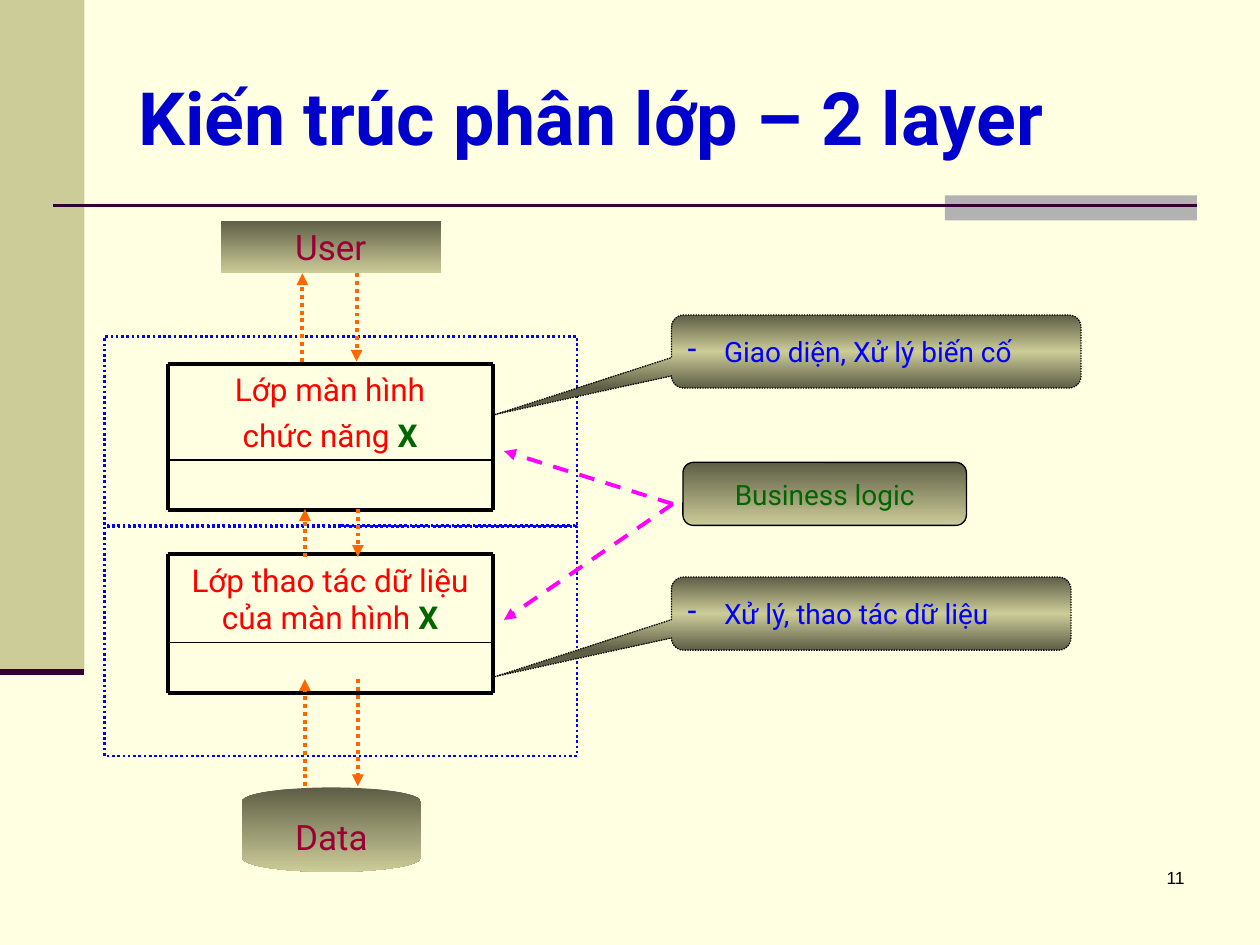
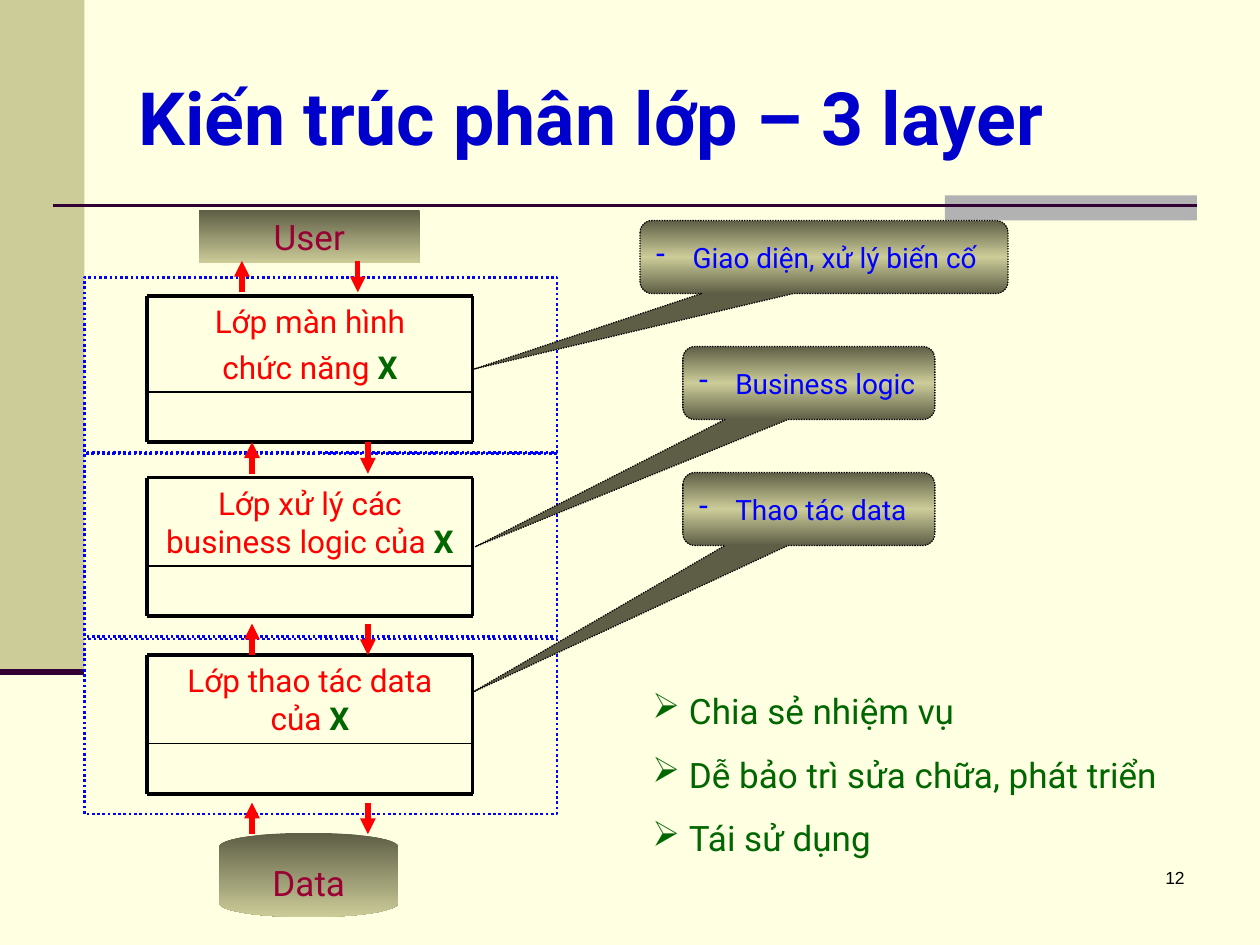
"""Build two slides on layered architecture: two layers and three layers."""
import copy

import pptx
import pptx.dml.color
import pptx.enum.dml
import pptx.enum.shapes
import pptx.enum.text
import pptx.oxml.ns
import pptx.oxml.xmlchemy
import pptx.util
from lxml import etree

RGB = pptx.dml.color.RGBColor
CREAM, KHAKI, OLIVE = RGB(255, 255, 225), RGB(204, 204, 153), RGB(94, 94, 70)
GREY, PLUM, BLACK = RGB(178, 178, 178), RGB(51, 0, 51), RGB(0, 0, 0)
NAVY, BLUE, GREEN = RGB(0, 0, 204), RGB(0, 0, 255), RGB(0, 102, 0)
WINE, RED, ORANGE, PINK = RGB(153, 0, 51), RGB(255, 0, 0), RGB(255, 102, 0), RGB(255, 0, 255)

SHAPE = pptx.enum.shapes.MSO_SHAPE
DASH = pptx.enum.dml.MSO_LINE
ALIGN = pptx.enum.text.PP_ALIGN
ANCHOR = pptx.enum.text.MSO_ANCHOR
qn = pptx.oxml.ns.qn

FONT = "Roboto"
WIDTH, HEIGHT = 10, 7.5
ZONE_W, BOX_INDENT, BOX_W, BOX_FOOT = 3.75, 0.5, 2.58, 0.4
CALLOUT_H, BULLET_INDENT = 0.58, 0.29

SLIDES = [
    {
        "title": "Kiến trúc phân lớp – 2 layer",
        "number": "11",
        "user": (1.75, 1.75),
        "data": (1.92, 6.25),
        "zone_left": 0.83,
        "zones": [(2.67, 1.5), (4.18, 1.82)],
        "boxes": [
            (2.89, 0.76, ["Lớp màn hình", "chức năng "]),
            (4.4, 0.7, ["Lớp thao tác dữ liệu của màn hình "]),
        ],
        "arrow_style": (ORANGE, 2.25, DASH.ROUND_DOT),
        "arrows": [(2.4, 2.83, 2.17, 2.87), (2.42, 2.84, 4.04, 4.42), (2.42, 2.84, 5.39, 6.24)],
        "callouts": [
            (5.33, 2.5, 3.25, (3.93, 3.29), "Giao diện, Xử lý biến cố"),
            (5.33, 4.58, 3.17, (3.93, 5.37), "Xử lý, thao tác dữ liệu"),
        ],
        "logic": ("Business logic", (5.42, 3.67, 2.25, 0.5), (5.34, 4), [(4, 3.58), (4, 4.92)]),
    },
    {
        "title": "Kiến trúc phân lớp – 3 layer",
        "number": "12",
        "user": (1.58, 1.67),
        "data": (1.74, 6.61),
        "zone_left": 0.67,
        "zones": [(2.2, 1.39), (3.6, 1.45), (5.07, 1.39)],
        "boxes": [
            (2.35, 0.76, ["Lớp màn hình", "chức năng "]),
            (3.79, 0.7, ["Lớp xử lý các business logic của "]),
            (5.2, 0.7, ["Lớp thao tác data của "]),
        ],
        "arrow_style": (RED, 3, None),
        "arrows": [(1.92, 2.84, 2.07, 2.32)]
        + [(2, 2.92, top, top + 0.25) for top in (3.51, 4.95, 6.37)],
        "callouts": [
            (5.08, 1.75, 2.92, (3.76, 2.93), "Giao diện, xử lý biến cố"),
            (5.42, 2.75, 2, (3.77, 4.34), "Business logic"),
            (5.42, 3.75, 2, (3.74, 5.5), "Thao tác data"),
        ],
        "benefits": ["Chia sẻ nhiệm vụ", "Dễ bảo trì sửa chữa, phát triển", "Tái sử dụng"],
    },
]


def inches(*values):
    return [pptx.util.Inches(v) for v in values]


def style_font(font, size, color, name=FONT, bold=False):
    font.size, font.name, font.bold = pptx.util.Pt(size), name, bold
    font.color.rgb = color


def style_line(line, color, width, dash=None):
    line.color.rgb = color
    line.width = pptx.util.Pt(width)
    if dash is not None:
        line.dash_style = dash


def write(sp, lines, size, color, align=ALIGN.LEFT, name=FONT, before=0, wrap=True):
    tf = sp.text_frame
    tf.word_wrap = wrap
    tf.text = "\n".join(lines)
    for p in tf.paragraphs:
        p.alignment = align
        p.space_before = pptx.util.Pt(before)
        for r in p.runs:
            style_font(r.font, size, color, name)
    return tf


def add_bullets(tf, char, color):
    for p in tf.paragraphs:
        pPr = p._p.get_or_add_pPr()
        indent = pptx.util.Inches(BULLET_INDENT)
        pPr.set("marL", str(indent))
        pPr.set("indent", str(-indent))
        clr = etree.SubElement(pPr, qn("a:buClr"))
        etree.SubElement(clr, qn("a:srgbClr")).set("val", str(color))
        etree.SubElement(pPr, qn("a:buChar")).set("char", char)


def add_shape(s, kind, area, fill=None, line=None):
    sp = s.shapes.add_shape(kind, *inches(*area))
    sp.shadow.inherit = False
    if fill is None:
        sp.fill.background()
    elif isinstance(fill, RGB):
        sp.fill.solid()
        sp.fill.fore_color.rgb = fill
    else:
        fill_gradient(sp, fill)
    if line:
        style_line(sp.line, *line)
    else:
        sp.line.fill.background()
    return sp


def fill_gradient(sp, colors):
    sp.fill.gradient()
    sp.fill.gradient_angle = 270
    stops = sp._element.spPr.find(".//" + qn("a:gsLst"))
    while len(stops) < len(colors):
        stops.append(copy.deepcopy(stops[0]))
    for i, (stop, color) in enumerate(zip(sp.fill.gradient_stops, colors)):
        stop.position = i / (len(colors) - 1)
        stop.color.rgb = color


def add_line(shapes, start, end, color, width, dash=None, arrow=False):
    straight = pptx.enum.shapes.MSO_CONNECTOR.STRAIGHT
    cxn = shapes.add_connector(straight, *inches(*start, *end))
    style_line(cxn.line, color, width, dash)
    if arrow:
        etree.SubElement(cxn.line._get_or_add_ln(), qn("a:tailEnd")).set("type", "triangle")
    etree.SubElement(cxn._element.spPr, qn("a:effectLst"))


def add_frame(s, title, number):
    add_shape(s, SHAPE.RECTANGLE, (0, 0, 0.67, 5.33), KHAKI)
    add_shape(s, SHAPE.RECTANGLE, (7.5, 1.55, 2, 0.2), GREY)
    add_line(s.shapes, (0.42, 1.63), (9.5, 1.63), PLUM, 1.5)
    add_line(s.shapes, (0, 5.33), (0.67, 5.33), PLUM, 3.5)
    sp = s.shapes.title
    sp.left, sp.top, sp.width, sp.height = inches(1, 0.3, 8.5, 1.25)
    tf = write(sp, [title], 42, NAVY)
    tf.vertical_anchor = ANCHOR.MIDDLE
    tf.auto_size = pptx.enum.text.MSO_AUTO_SIZE.NONE
    tf.paragraphs[0].runs[0].font.bold = True
    sp = s.shapes.add_textbox(*inches(7.42, 6.83, 2.08, 0.5))
    write(sp, [number], 10, BLACK, ALIGN.RIGHT, "Arial")


def add_node(s, kind, area, text, size, color, line=None):
    sp = add_shape(s, kind, area, (OLIVE, KHAKI), line)
    tf = write(sp, [text], size, color, ALIGN.CENTER, wrap=False)
    tf.vertical_anchor = ANCHOR.MIDDLE


def add_layer_box(s, left, top, head, lines):
    shapes = s.shapes.add_group_shape().shapes
    right, middle = left + BOX_W, top + head
    bottom = middle + BOX_FOOT
    sp = shapes.add_textbox(*inches(left, top, BOX_W, head))
    tf = write(sp, lines, 18, RED, ALIGN.CENTER, before=4.5)
    r = tf.paragraphs[-1].add_run()
    r.text = "X"
    style_font(r.font, 18, GREEN, bold=True)
    for y, width in ((top, 2.25), (middle, 1), (bottom, 2.25)):
        add_line(shapes, (left, y), (right, y), BLACK, width)
    for x in (left, right):
        add_line(shapes, (x, top), (x, bottom), BLACK, 2.25)


def add_callout(s, left, top, width, tip, text):
    sp = add_shape(s, SHAPE.ROUNDED_RECTANGULAR_CALLOUT, (left, top, width, CALLOUT_H),
                   (OLIVE, KHAKI, OLIVE), (BLACK, 0.75, DASH.ROUND_DOT))
    sp.adjustments[0] = (tip[0] - left) / width - 0.5
    sp.adjustments[1] = (tip[1] - top) / CALLOUT_H - 0.5
    tf = write(sp, [text], 16, BLUE)
    tf.vertical_anchor = ANCHOR.MIDDLE
    add_bullets(tf, "-", BLUE)


def add_logic(s, text, area, start, ends):
    add_node(s, SHAPE.ROUNDED_RECTANGLE, area, text, 16, GREEN, (BLACK, 0.75))
    for end in ends:
        add_line(s.shapes, start, end, PINK, 2.25, DASH.DASH, arrow=True)


def add_benefits(s, lines):
    sp = s.shapes.add_textbox(*inches(5.08, 5.42, 4.5, 1.45))
    add_bullets(write(sp, lines, 20, GREEN, before=12.5), "➢", GREEN)


def build_slide(prs, content):
    s = prs.slides.add_slide(prs.slide_layouts[5])
    add_frame(s, content["title"], content["number"])
    add_node(s, SHAPE.RECTANGLE, (*content["user"], 1.75, 0.42), "User", 20, WINE)
    add_node(s, SHAPE.FLOWCHART_MAGNETIC_DISK, (*content["data"], 1.42, 0.67), "Data", 20, WINE)
    left = content["zone_left"]
    for top, height in content["zones"]:
        add_shape(s, SHAPE.RECTANGLE, (left, top, ZONE_W, height),
                  line=(BLUE, 1.5, DASH.ROUND_DOT))
    for box in content["boxes"]:
        add_layer_box(s, left + BOX_INDENT, *box)
    for callout in content["callouts"]:
        add_callout(s, *callout)
    for up, down, top, bottom in content["arrows"]:
        add_line(s.shapes, (up, bottom), (up, top), *content["arrow_style"], arrow=True)
        add_line(s.shapes, (down, top), (down, bottom), *content["arrow_style"], arrow=True)
    if "logic" in content:
        add_logic(s, *content["logic"])
    if "benefits" in content:
        add_benefits(s, content["benefits"])


def main():
    prs = pptx.Presentation()
    prs.slide_width, prs.slide_height = inches(WIDTH, HEIGHT)
    fill = prs.slide_master.background.fill
    fill.solid()
    fill.fore_color.rgb = CREAM
    for content in SLIDES:
        build_slide(prs, content)
    prs.save("out.pptx")


if __name__ == "__main__":
    main()
